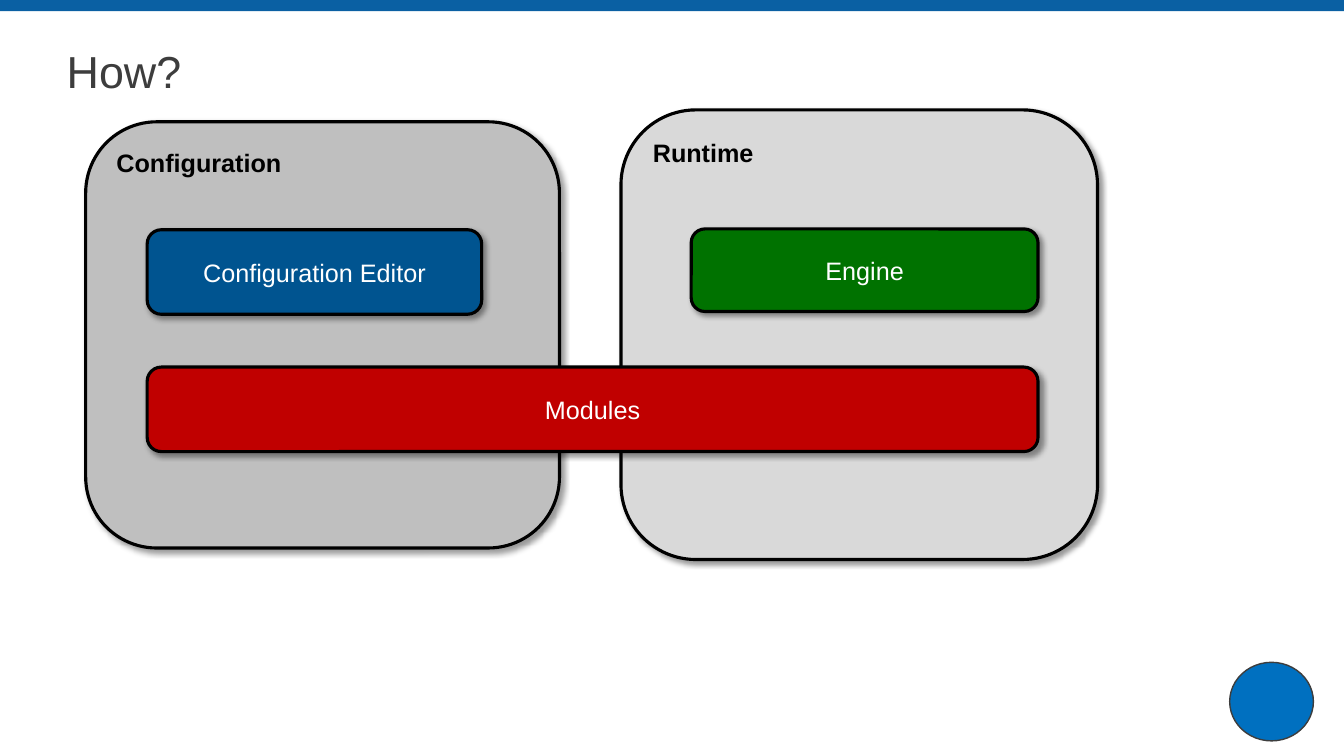
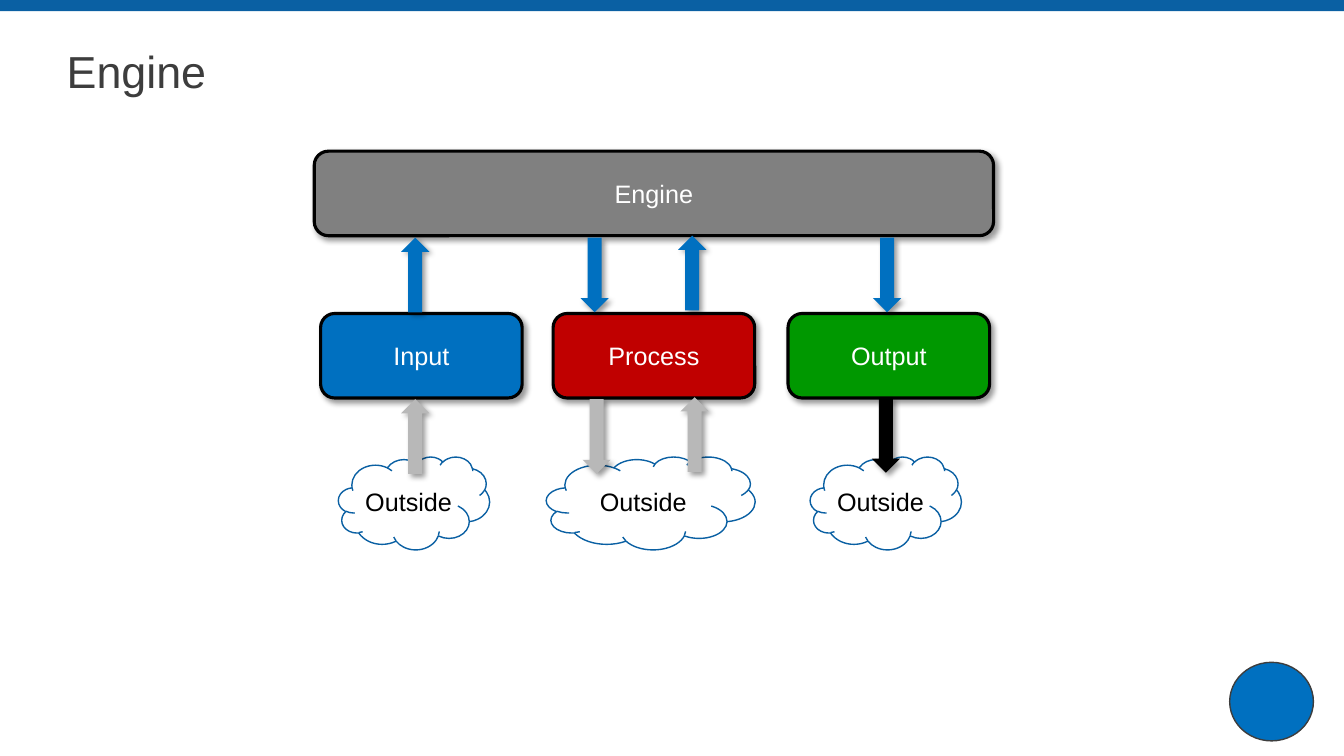
from lxml import etree
from pptx import Presentation
from pptx.dml.color import RGBColor
from pptx.enum import shapes, text
from pptx.oxml import ns
from pptx.util import Cm, Pt

BLACK = RGBColor(0x00, 0x00, 0x00)
WHITE = RGBColor(0xFF, 0xFF, 0xFF)
CHARCOAL = RGBColor(0x3D, 0x3D, 0x3D)
GREY = RGBColor(0x80, 0x80, 0x80)
MID_GREY = RGBColor(0xBF, 0xBF, 0xBF)
PALE_GREY = RGBColor(0xD9, 0xD9, 0xD9)
ARROW_GREY = RGBColor(0xB8, 0xB8, 0xB8)
BAND_BLUE = RGBColor(0x0A, 0x60, 0xA3)
BLUE = RGBColor(0x00, 0x70, 0xC0)
DARK_BLUE = RGBColor(0x00, 0x54, 0x90)
RED = RGBColor(0xC0, 0x00, 0x00)
GREEN = RGBColor(0x00, 0x98, 0x00)
DARK_GREEN = RGBColor(0x00, 0x72, 0x00)

FONT = "Arial"
SLIDE_WIDTH, SLIDE_HEIGHT = 33.87, 19.05
TITLE_AREA = (1.68, 1.02, 30.48, 1.7)
BADGE_AREA = (30.99, 16.69, 2.11, 1.98)
TITLE_ONLY = 5

# Areas are left, top, width, height in centimetres.
PANELS = [
    ("Configuration", (2.16, 3.07, 11.94, 10.74), MID_GREY),
    ("Runtime", (15.65, 2.77, 12.01, 11.33), PALE_GREY),
]
PARTS = [
    ("Engine", (17.42, 5.77, 8.74, 2.08), DARK_GREEN),
    ("Configuration Editor", (3.71, 5.79, 8.43, 2.13), DARK_BLUE),
    ("Modules", (3.71, 9.25, 22.45, 2.13), RED),
]

ENGINE_AREA = (7.92, 3.81, 17.12, 2.13)
STAGE_TOP, STAGE_WIDTH, STAGE_HEIGHT = 7.9, 5.08, 2.13
STAGES = [("Input", 8.08, BLUE), ("Process", 13.94, RED), ("Output", 19.86, GREEN)]
CLOUD_TOP, CLOUD_HEIGHT = 11.51, 2.34
CLOUDS = [(8.53, 3.81), (13.77, 5.26), (20.42, 3.81)]  # left, width
ARROW_WIDTH, ARROW_HEIGHT = 0.71, 1.88
UP, DOWN = 0, 180
# left, top, direction, colour
ENGINE_ARROWS = [
    (10.11, 5.99, UP, BLUE),
    (14.63, 5.99, DOWN, BLUE),
    (17.09, 5.94, UP, BLUE),
    (22.0, 5.99, DOWN, BLUE),
]
OUTSIDE_ARROWS = [
    (10.11, 10.06, UP, ARROW_GREY),
    (14.68, 10.06, DOWN, ARROW_GREY),
    (17.15, 10.01, UP, ARROW_GREY),
    (21.97, 10.03, DOWN, BLACK),
]

KIND = shapes.MSO_SHAPE
ALIGN = text.PP_ALIGN
ANCHOR = text.MSO_ANCHOR


def set_all(target, values):
    for name, value in values.items():
        setattr(target, name, value)


def write(frame, words, colour, size=18, bold=False, align=ALIGN.CENTER,
          anchor=ANCHOR.MIDDLE, side_inset=0.25):
    set_all(frame, {
        "word_wrap": True, "vertical_anchor": anchor,
        "margin_left": Cm(side_inset), "margin_right": Cm(side_inset),
        "margin_top": Cm(0.13), "margin_bottom": Cm(0.13),
    })
    paragraph = frame.paragraphs[0]
    paragraph.alignment = align
    run = paragraph.add_run()
    run.text = words
    set_all(run.font, {"name": FONT, "size": Pt(size), "bold": bold})
    run.font.color.rgb = colour
    return paragraph


def cast_shadow(shape):
    effects = shape.element.spPr.find(ns.qn("a:effectLst"))
    shadow = etree.SubElement(effects, ns.qn("a:outerShdw"), {
        "blurRad": str(Pt(4)), "dist": str(Pt(3)), "dir": "2700000",
        "algn": "tl", "rotWithShape": "0",
    })
    colour = etree.SubElement(shadow, ns.qn("a:srgbClr"), val=str(BLACK))
    etree.SubElement(colour, ns.qn("a:alpha"), val="40000")


def add_shape(slide, kind, area, fill=None, line=None, line_width=1, shadow=False):
    shape = slide.shapes.add_shape(kind, *map(Cm, area))
    shape.shadow.inherit = False
    if fill is None:
        shape.fill.background()
    else:
        shape.fill.solid()
        shape.fill.fore_color.rgb = fill
    if line is None:
        shape.line.fill.background()
    else:
        shape.line.color.rgb = line
        shape.line.width = Pt(line_width)
    if shadow:
        cast_shadow(shape)
    return shape


def add_box(slide, words, area, fill, colour=WHITE, **text_format):
    shape = add_shape(slide, KIND.ROUNDED_RECTANGLE, area, fill, BLACK, 2.25, True)
    write(shape.text_frame, words, colour, **text_format)


def add_arrows(slide, arrows):
    for left, top, direction, colour in arrows:
        area = (left, top, ARROW_WIDTH, ARROW_HEIGHT)
        arrow = add_shape(slide, KIND.UP_ARROW, area, colour, shadow=True)
        arrow.rotation = direction


def add_slide(presentation, title):
    """Add a slide with its title and the round badge in the corner."""
    slide = presentation.slides.add_slide(presentation.slide_layouts[TITLE_ONLY])
    paragraph = write(slide.shapes.title.text_frame, title, CHARCOAL, size=32,
                      align=ALIGN.LEFT, side_inset=0)
    paragraph.line_spacing = 0.9
    add_shape(slide, KIND.OVAL, BADGE_AREA, BLUE, CHARCOAL)
    return slide


def set_up_template(presentation):
    presentation.slide_width = Cm(SLIDE_WIDTH)
    presentation.slide_height = Cm(SLIDE_HEIGHT)
    title = presentation.slide_layouts[TITLE_ONLY].placeholders[0]
    set_all(title, dict(zip(("left", "top", "width", "height"), map(Cm, TITLE_AREA))))


def move_band_to_master(presentation, slide):
    """Draw the top band once and let every slide inherit it."""
    band = add_shape(slide, KIND.RECTANGLE, (0, 0, SLIDE_WIDTH, 0.28), BAND_BLUE)
    presentation.slide_master.element.cSld.spTree.insert(2, band.element)


def build_how(presentation):
    slide = add_slide(presentation, "How?")
    for words, area, fill in PANELS:
        add_box(slide, words, area, fill, BLACK, bold=True, align=ALIGN.LEFT,
                anchor=ANCHOR.TOP)
    for words, area, fill in PARTS:
        add_box(slide, words, area, fill)
    return slide


def build_engine(presentation):
    slide = add_slide(presentation, "Engine")
    for words, left, fill in STAGES:
        add_box(slide, words, (left, STAGE_TOP, STAGE_WIDTH, STAGE_HEIGHT), fill)
    add_box(slide, "Engine", ENGINE_AREA, GREY)
    add_arrows(slide, ENGINE_ARROWS)
    for left, width in CLOUDS:
        area = (left, CLOUD_TOP, width, CLOUD_HEIGHT)
        cloud = add_shape(slide, KIND.CLOUD, area, line=BAND_BLUE)
        write(cloud.text_frame, "Outside", BLACK, side_inset=0)
    add_arrows(slide, OUTSIDE_ARROWS)


def main():
    presentation = Presentation()
    set_up_template(presentation)
    first_slide = build_how(presentation)
    move_band_to_master(presentation, first_slide)
    build_engine(presentation)
    presentation.save("out.pptx")


if __name__ == "__main__":
    main()
